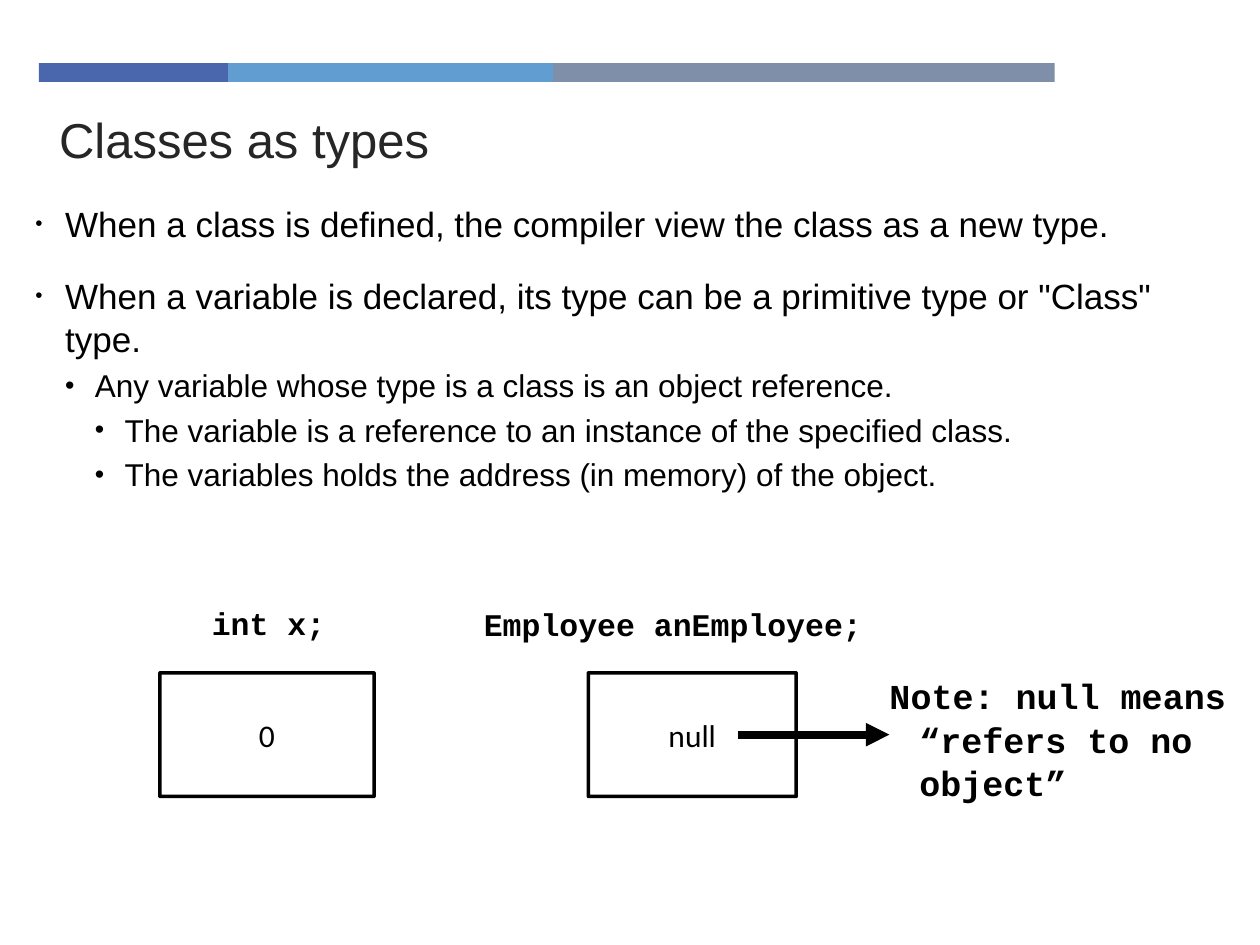
from lxml import etree
from pptx import Presentation
from pptx.dml.color import RGBColor
from pptx.enum.shapes import MSO_CONNECTOR, MSO_SHAPE
from pptx.enum.text import MSO_ANCHOR, MSO_AUTO_SIZE, PP_ALIGN
from pptx.oxml.ns import qn
from pptx.util import Pt

RECTANGLE, ROUNDED = MSO_SHAPE.RECTANGLE, MSO_SHAPE.ROUNDED_RECTANGLE
STRAIGHT = MSO_CONNECTOR.STRAIGHT
TOP, MIDDLE = MSO_ANCHOR.TOP, MSO_ANCHOR.MIDDLE
LEFT, CENTER = PP_ALIGN.LEFT, PP_ALIGN.CENTER
NO_FIT = MSO_AUTO_SIZE.NONE

BLACK, WHITE, TITLE_GREY = "000000", "FFFFFF", "262626"
HANG = 17
BODY_FORMAT = {"line_spacing": 1.04, "space_before": Pt(2.8),
               "space_after": Pt(0), "alignment": LEFT}
# level, bullet size in percent, font size, space before, text
BULLETS = [
    (0, 59, 20, 2.8, "When a class is defined, the compiler view the class as a new type."),
    (0, 59, 20, 16.4, 'When a variable is declared, its type can be a primitive type or "Class" type.'),
    (1, 85, 18, 2.8, "Any variable whose type is a class is an object reference."),
    (2, 85, 18, 2.8, "The variable is a reference to an instance of the specified class."),
    (2, 85, 18, 2.8, "The variables holds the address (in memory) of the object."),
]


def color(value):
    """Turn a hex string into a colour."""
    return RGBColor.from_string(value)


def apply(target, values):
    """Set each attribute of a target from a dict."""
    for name, value in values.items():
        setattr(target, name, value)


def place(shape, left, top, width, height):
    """Move and size a shape."""
    apply(shape, {"left": Pt(left), "top": Pt(top),
                  "width": Pt(width), "height": Pt(height)})


def set_frame(frame, side=0, edge=0, anchor=TOP):
    """Set margins, wrapping and anchor of a text frame."""
    apply(frame, {"margin_left": Pt(side), "margin_right": Pt(side),
                  "margin_top": Pt(edge), "margin_bottom": Pt(edge),
                  "word_wrap": True, "auto_size": NO_FIT,
                  "vertical_anchor": anchor})


def write(para, text, font, size, ink=BLACK, bold=False, **layout):
    """Write one formatted span into a paragraph."""
    apply(para, {**BODY_FORMAT, **layout})
    span = para.add_run()
    span.text = text
    apply(span.font, {"name": font, "size": Pt(size), "bold": bold})
    span.font.color.rgb = color(ink)


def indent(para, left, hang):
    """Give a paragraph a hanging indent and return its properties."""
    properties = para._p.get_or_add_pPr()
    properties.set("marL", str(Pt(left)))
    properties.set("indent", str(-Pt(hang)))
    return properties


def add_bullet(para, percent):
    """Add a black round bullet to a paragraph."""
    properties = para._p.get_or_add_pPr()
    ink = etree.SubElement(properties, qn("a:buClr"))
    etree.SubElement(ink, qn("a:srgbClr")).set("val", BLACK)
    etree.SubElement(properties, qn("a:buSzPct")).set("val", str(percent * 1000))
    etree.SubElement(properties, qn("a:buFont")).set("typeface", "Arial")
    etree.SubElement(properties, qn("a:buChar")).set("char", "•")


def add_bars(page):
    """Draw the row of coloured bars above the title."""
    left = 22.3
    for width, fill in ((108, "4A66AC"), (185.8, "629DD1"), (286.6, "7F8FA9")):
        bar = page.shapes.add_shape(RECTANGLE, Pt(left), Pt(36), Pt(width), Pt(10.8))
        bar.shadow.inherit = False
        bar.fill.solid()
        bar.fill.fore_color.rgb = color(fill)
        bar.line.fill.background()
        left += width


def fill_title(title):
    """Format and fill the title placeholder."""
    place(title, 26.6, 57.6, 515.5, 38.9)
    set_frame(title.text_frame, 7.2, 3.6)
    write(title.text_frame.paragraphs[0], "Classes as types", "Arial", 28, TITLE_GREY,
          space_before=Pt(0))


def fill_body(body):
    """Format and fill the bulleted list placeholder."""
    place(body, 20.2, 114.5, 679, 164.2)
    set_frame(body.text_frame)
    for index, (level, percent, size, before, text) in enumerate(BULLETS):
        para = body.text_frame.add_paragraph() if index else body.text_frame.paragraphs[0]
        write(para, text, "Arial", size, level=level, space_before=Pt(before))
        indent(para, HANG * (level + 1), HANG)
        add_bullet(para, percent)


def add_code(page, text, size, left, top, width, height):
    """Add a bold monospaced text with a hanging indent."""
    box = page.shapes.add_textbox(Pt(left), Pt(top), Pt(width), Pt(height))
    set_frame(box.text_frame)
    para = box.text_frame.paragraphs[0]
    write(para, text, "Courier New", size, bold=True)
    indent(para, HANG, HANG)


def add_variable(page, text, left, width):
    """Draw a memory box holding a value."""
    box = page.shapes.add_shape(ROUNDED, Pt(left), Pt(384.5), Pt(width), Pt(70.6))
    box.adjustments[0] = 0.002
    box.shadow.inherit = False
    box.fill.solid()
    box.fill.fore_color.rgb = color(WHITE)
    box.line.color.rgb = color(BLACK)
    box.line.width = Pt(2)
    set_frame(box.text_frame, anchor=MIDDLE)
    write(box.text_frame.paragraphs[0], text, "Calibri", 18,
          alignment=CENTER, space_before=Pt(0))


def add_arrow(page, start, end, y):
    """Draw a thick horizontal arrow."""
    arrow = page.shapes.add_connector(STRAIGHT, Pt(start), Pt(y), Pt(end), Pt(y))
    arrow.line.color.rgb = color(BLACK)
    arrow.line.width = Pt(4.5)
    etree.SubElement(arrow.line._get_or_add_ln(), qn("a:tailEnd")).set("type", "triangle")
    etree.SubElement(arrow._element.spPr, qn("a:effectLst"))


def main():
    """Build the slide and save it."""
    deck = Presentation()
    apply(deck, {"slide_width": Pt(720), "slide_height": Pt(540)})
    page = deck.slides.add_slide(deck.slide_layouts[1])
    add_bars(page)
    fill_title(page.shapes.title)
    fill_body(page.placeholders[1])
    add_code(page, "int x;", 18, 121, 344.5, 92.9, 21.6)
    add_variable(page, "0", 91.4, 122.4)
    add_code(page, "Employee anEmployee;", 18, 276.5, 344.9, 247.7, 21.6)
    add_variable(page, "null", 336.2, 118.8)
    add_arrow(page, 421.9, 508.3, 419.8)
    add_code(page, "Note: null means “refers to no object”", 20, 508.3, 384.5, 211, 72.7)
    deck.save("out.pptx")


main()
